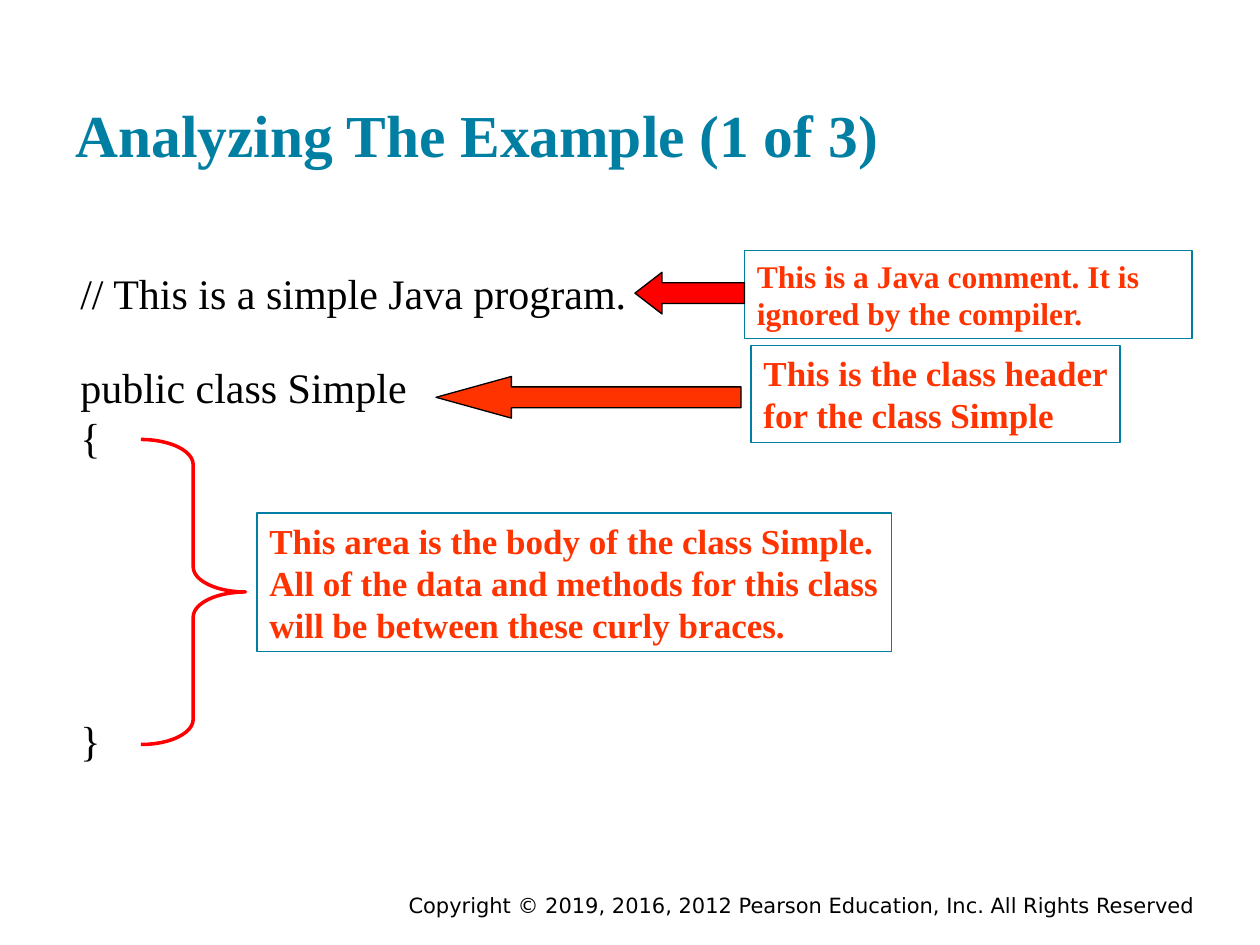
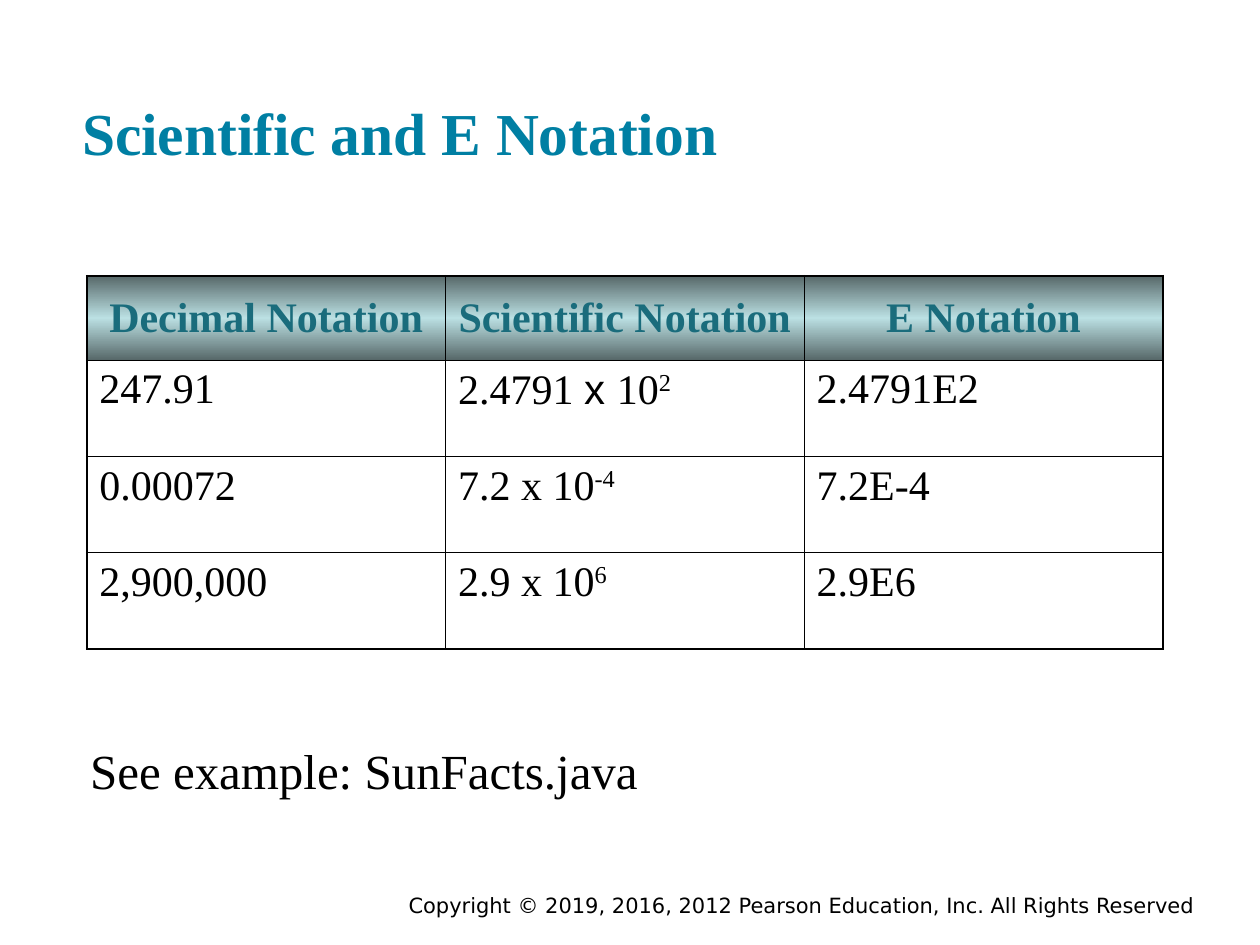
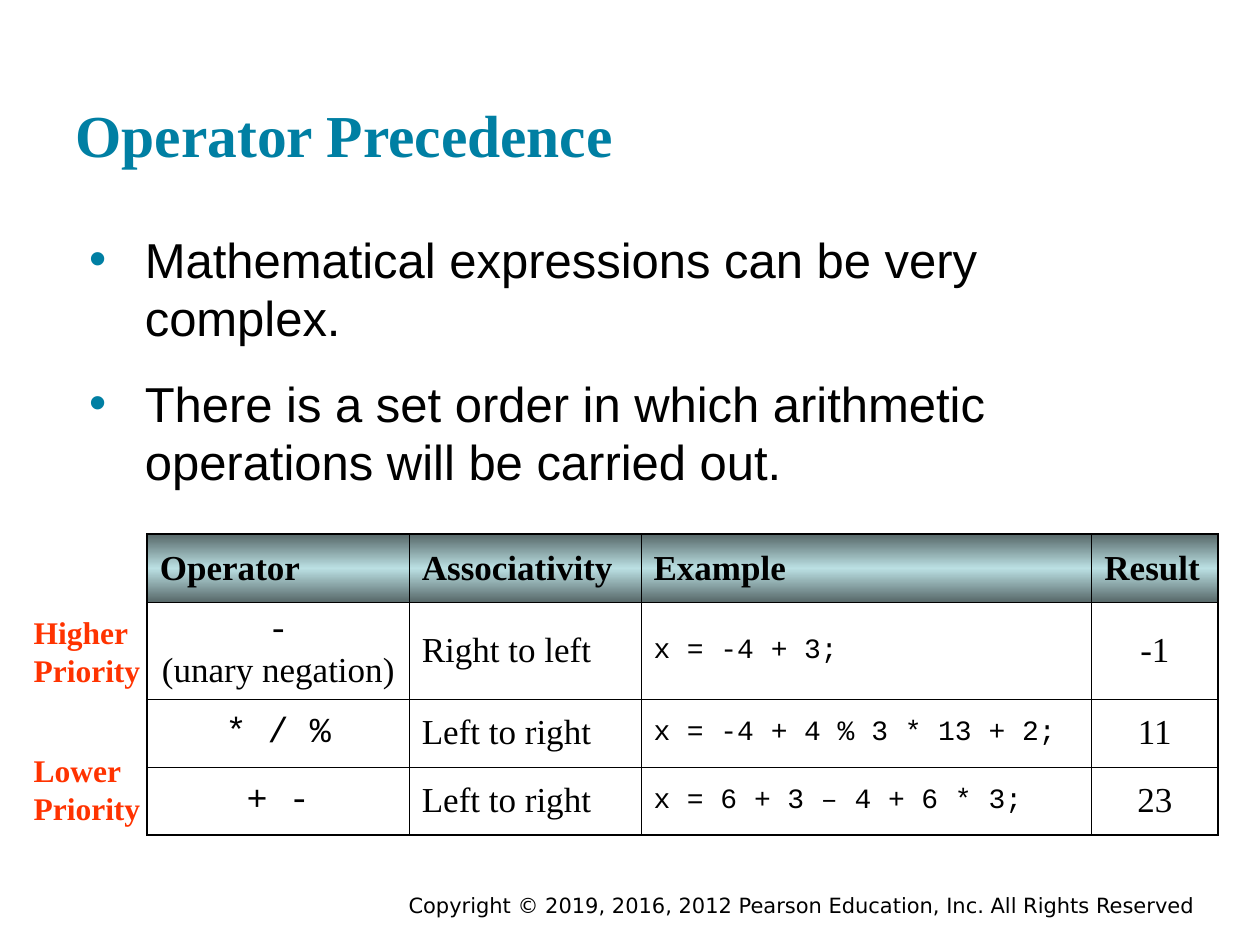
"""Build three Java lecture slides: code analysis, E notation and operator precedence."""
from lxml.etree import SubElement
from pptx import Presentation
from pptx.dml.color import RGBColor
from pptx.enum.shapes import MSO_SHAPE
from pptx.enum.text import MSO_ANCHOR, MSO_AUTO_SIZE, PP_ALIGN
from pptx.oxml import parse_xml
from pptx.oxml.ns import nsdecls, qn
from pptx.util import Cm, Pt

COLORS = {
    "teal": "007FA3",
    "header": "1A6C7C",
    "band": "BBE0E3",
    "band_edge": "576869",
    "callout": "FF3300",
    "red": "FF0000",
    "black": "000000",
}
SERIF, SANS, MONO = "Times New Roman", "Arial", "Courier New"
LEFT, CENTER, RIGHT = PP_ALIGN.LEFT, PP_ALIGN.CENTER, PP_ALIGN.RIGHT
COPYRIGHT = "Copyright © 2019, 2016, 2012 Pearson Education, Inc. All Rights Reserved"


def write(frame, lines, size, color="black", bold=False, font=SERIF, align=LEFT, wrap=False):
    frame.word_wrap = wrap
    frame.auto_size = MSO_AUTO_SIZE.NONE
    for index, line in enumerate(lines):
        paragraph = frame.add_paragraph() if index else frame.paragraphs[0]
        paragraph.text = line
        paragraph.alignment = align
        paragraph.font.name = font
        paragraph.font.size = Pt(size)
        paragraph.font.bold = bold
        paragraph.font.color.rgb = RGBColor.from_string(COLORS[color])


def add_grid(slide, left, top, widths, heights, rows, styles, header, anchor):
    frame = slide.shapes.add_table(
        len(heights), len(widths), Cm(left), Cm(top), Cm(sum(widths)), Cm(sum(heights)))
    table = frame.table
    table.first_row = table.horz_banding = False
    for column, width in zip(table.columns, widths):
        column.width = Cm(width)
    for row, height in zip(table.rows, heights):
        row.height = Cm(height)
    for row_index, row in enumerate(rows):
        for column_index, content in enumerate(row):
            cell = table.cell(row_index, column_index)
            font, size, align = styles[column_index]
            style = {"font": font, "size": size, "align": align}
            cell.vertical_anchor = anchor
            if row_index == 0:
                style = header
                cell.vertical_anchor = MSO_ANCHOR.MIDDLE
            *pieces, power = content if isinstance(content, tuple) else (content, "")
            write(cell.text_frame, pieces[:1], wrap=True, **style)
            paragraph = cell.text_frame.paragraphs[0]
            for piece in pieces[1:]:
                paragraph.add_run().text = piece
            if power:
                run = paragraph.add_run()
                run.text = power
                run.font._element.set("baseline", "30000")

            outer_edges = {
                "L": column_index == 0,
                "R": column_index == len(widths) - 1,
                "T": row_index == 0,
                "B": row_index == len(heights) - 1,
            }
            properties = cell._tc.get_or_add_tcPr()
            for side, is_outer in outer_edges.items():
                line = SubElement(properties, qn(f"a:ln{side}"), w=str(Pt(1.08 if is_outer else 0.45)))
                fill = SubElement(line, qn("a:solidFill"))
                SubElement(fill, qn("a:srgbClr"), val=COLORS["black"])
            if row_index == 0:
                stops = "".join(
                    f'<a:gs pos="{position}"><a:srgbClr val="{COLORS[name]}"/></a:gs>'
                    for position, name in ((0, "band_edge"), (50000, "band"), (100000, "band_edge")))
                properties.append(parse_xml(
                    f'<a:gradFill {nsdecls("a")}><a:gsLst>{stops}</a:gsLst>'
                    '<a:lin ang="5400000" scaled="0"/></a:gradFill>'))
            else:
                cell.fill.background()
    return table


presentation = Presentation()
presentation.slide_width, presentation.slide_height = Cm(25.4), Cm(19.05)

slides = []
for heading, left, top in (
    ("Analyzing The Example (1 of 3)", 1.27, 0.61),
    ("Scientific and E Notation", 1.4, 0.58),
    ("Operator Precedence", 1.27, 0.61),
):
    slide = presentation.slides.add_slide(presentation.slide_layouts[5])
    footer = slide.shapes.add_textbox(Cm(4.45), Cm(17.86), Cm(19.89), Cm(0.56))
    write(footer.text_frame, [COPYRIGHT], 12, font="DejaVu Sans", align=RIGHT, wrap=True)
    title = slide.shapes.title
    title.left, title.top, title.width, title.height = Cm(left), Cm(top), Cm(22.86), Cm(3.05)
    write(title.text_frame, [heading], 34, "teal", bold=True, wrap=True)
    title.text_frame.vertical_anchor = MSO_ANCHOR.BOTTOM
    title.text_frame.margin_top = title.text_frame.margin_bottom = Cm(0.25)
    slides.append(slide)
analysis, notation, precedence = slides

comment_line = analysis.shapes.add_textbox(Cm(1.37), Cm(5.26), Cm(11.53), Cm(1.27))
write(comment_line.text_frame, ["// This is a simple Java program."], 24)
class_code = analysis.shapes.add_textbox(Cm(1.37), Cm(7.16), Cm(8.26), Cm(8.38))
write(class_code.text_frame, ["public class Simple\v{", "}"], 24, wrap=True)
class_code.text_frame.paragraphs[1].space_before = Pt(144)

brace = analysis.shapes.add_shape(MSO_SHAPE.RIGHT_BRACE, Cm(2.84), Cm(8.86), Cm(2.11), Cm(6.15))
brace.shadow.inherit = False
brace.adjustments[0] = 0.24
brace.fill.background()
brace.line.color.rgb = RGBColor.from_string(COLORS["red"])
brace.line.width = Pt(2)

for lines, size, wrap, left, top, width, height in (
    (["This area is the body of the class Simple.",
      "All of the data and methods for this class\vwill be between these curly braces."],
     20, False, 5.18, 10.34, 12.8, 2.79),
    (["This is a Java comment. It is ignored by the compiler."], 18, True, 15.01, 5.05, 9.02, 1.78),
    (["This is the class header\vfor the class Simple"], 20, False, 15.14, 6.96, 7.44, 1.96),
):
    callout = analysis.shapes.add_textbox(Cm(left), Cm(top), Cm(width), Cm(height))
    callout.line.color.rgb = RGBColor.from_string(COLORS["teal"])
    callout.line.width = Pt(0.75)
    write(callout.text_frame, lines, size, "callout", bold=True, wrap=wrap)

for left, top, width, head_length, color in (
    (12.8, 5.49, 2.21, 0.65, "red"),
    (8.79, 7.59, 6.15, 1.81, "callout"),
):
    arrow = analysis.shapes.add_shape(MSO_SHAPE.LEFT_ARROW, Cm(left), Cm(top), Cm(width), Cm(0.84))
    arrow.shadow.inherit = False
    arrow.adjustments[1] = head_length
    arrow.fill.solid()
    arrow.fill.fore_color.rgb = RGBColor.from_string(COLORS[color])
    arrow.line.color.rgb = RGBColor.from_string(COLORS["black"])
    arrow.line.width = Pt(0.75)

notation_rows = [
    ("Decimal Notation", "Scientific Notation", "E Notation"),
    ("247.91", ("2.4791 ", "x ", "10", "2"), "2.4791E2"),
    ("0.00072", ("7.2 x 10", "-4"), "7.2E-4"),
    ("2,900,000", ("2.9 x 10", "6"), "2.9E6"),
]
notation_table = add_grid(
    notation, 1.75, 5.56, [7.23] * 3, [1.7] + [1.94] * 3, notation_rows, [(SERIF, 24, LEFT)] * 3,
    {"size": 24, "color": "header", "bold": True, "align": CENTER}, MSO_ANCHOR.TOP)
notation_table.cell(1, 1).text_frame.paragraphs[0].runs[1].font.name = SANS
example = notation.shapes.add_textbox(Cm(1.57), Cm(14.81), Cm(11.53), Cm(1.45))
write(example.text_frame, ["See example: SunFacts.java"], 28)

body = precedence.shapes.add_textbox(Cm(1.27), Cm(4.37), Cm(22.86), Cm(12.57))
body.text_frame.margin_top = body.text_frame.margin_bottom = Cm(0.25)
points = [
    "Mathematical expressions can be very complex.",
    "There is a set order in which arithmetic operations will be carried out.",
]
write(body.text_frame, points, 28, font=SANS, wrap=True)
for paragraph in body.text_frame.paragraphs:
    properties = paragraph._p.get_or_add_pPr()
    properties.set("marL", str(Cm(1.4)))
    properties.set("indent", str(Cm(-1.12)))
    for position, bullet in enumerate((
        f'<a:buClr {nsdecls("a")}><a:srgbClr val="{COLORS["teal"]}"/></a:buClr>',
        f'<a:buFont {nsdecls("a")} typeface="{SANS}"/>',
        f'<a:buChar {nsdecls("a")} char="•"/>',
    )):
        properties.insert(position, parse_xml(bullet))
body.text_frame.paragraphs[1].space_before = Pt(15)

precedence_rows = [
    ("Operator", "Associativity", "Example", "Result"),
    ("-\v(unary negation)", "Right to left", "x = -4 + 3;", "-1"),
    ("* / %", "Left to right", "x = -4 + 4 % 3 * 13 + 2;", "11"),
    ("+ -", "Left to right", "x = 6 + 3 – 4 + 6 * 3;", "23"),
]
precedence_table = add_grid(
    precedence, 2.97, 10.77, [5.28, 4.67, 9.09, 2.54], [1.37, 1.95, 1.37, 1.37], precedence_rows,
    [(MONO, 20, CENTER), (SERIF, 20, LEFT), (MONO, 16, LEFT), (SERIF, 20, CENTER)],
    {"size": 20, "bold": True}, MSO_ANCHOR.MIDDLE)
precedence_table.cell(1, 0).text_frame.paragraphs[0].runs[1].font.name = SERIF

for level, top in (("Higher", 12.24), ("Lower", 15.01)):
    label = precedence.shapes.add_textbox(Cm(0.43), Cm(top), Cm(2.64), Cm(1.78))
    write(label.text_frame, [level, "Priority"], 18, "callout", bold=True)

presentation.save("out.pptx")
